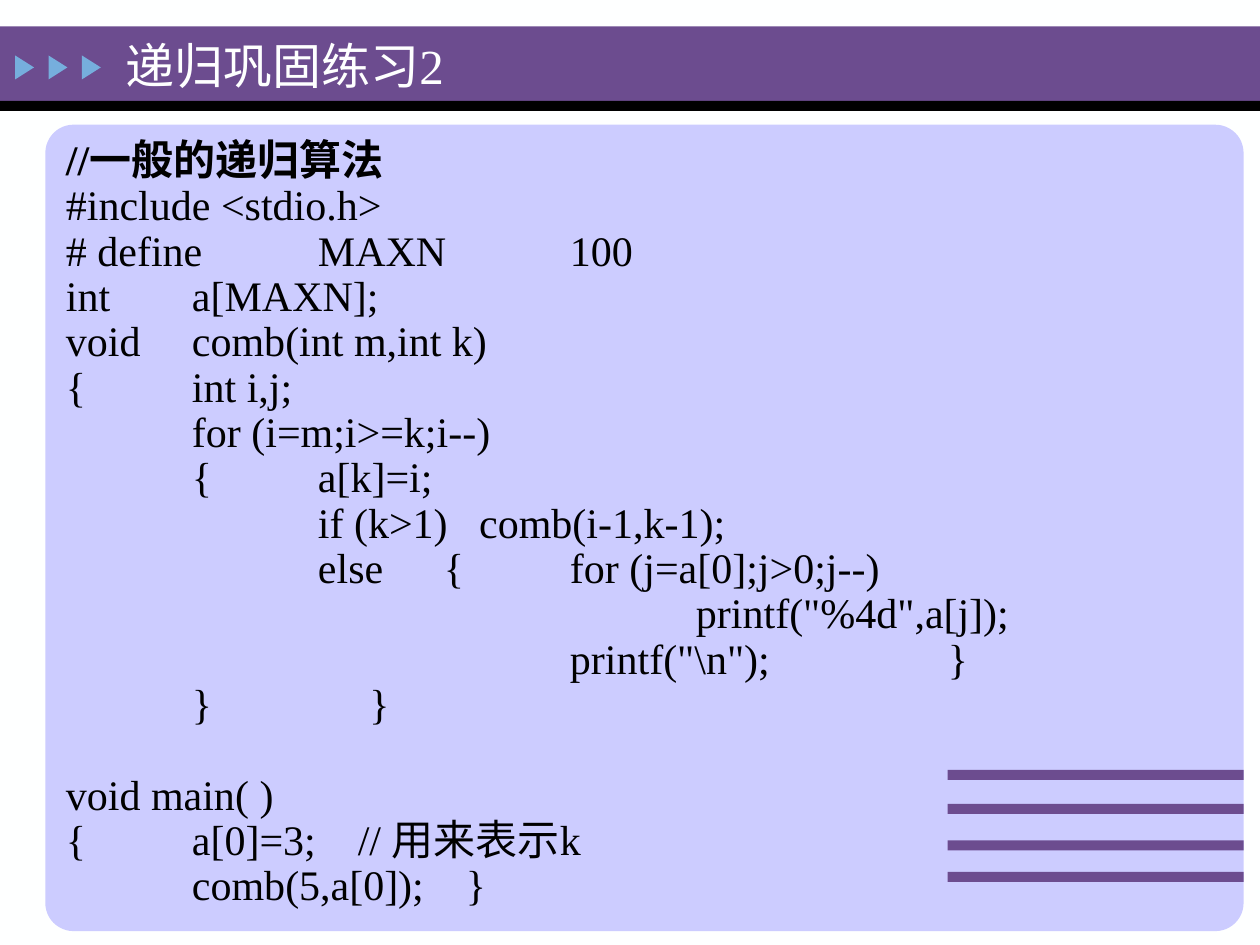
from lxml import etree
from pptx import Presentation
from pptx.dml.color import RGBColor
from pptx.enum.shapes import MSO_SHAPE
from pptx.enum.text import MSO_ANCHOR, MSO_AUTO_SIZE, PP_ALIGN
from pptx.oxml.ns import qn
from pptx.util import Inches, Pt

RECT = MSO_SHAPE.RECTANGLE
ROUND_RECT = MSO_SHAPE.ROUNDED_RECTANGLE
TRIANGLE = MSO_SHAPE.ISOSCELES_TRIANGLE
TOP, MIDDLE = MSO_ANCHOR.TOP, MSO_ANCHOR.MIDDLE
GROW = MSO_AUTO_SIZE.SHAPE_TO_FIT_TEXT
LEFT = PP_ALIGN.LEFT

FONT = "Times New Roman"
PURPLE, BLUE, LAVENDER = "6C4C8F", "76AEDD", "CCCCFF"
BLACK, WHITE = "000000", "FEFFFF"

CODE_LINES = [
    "//一般的递归算法",
    "#include <stdio.h>",
    "# define\tMAXN\t100",
    "int\ta[MAXN];",
    "void\tcomb(int m,int k)",
    "{\tint i,j;",
    "\tfor (i=m;i>=k;i--)",
    "\t{\ta[k]=i;",
    "\t\tif (k>1)   comb(i-1,k-1);",
    "\t\telse  \t{\tfor (j=a[0];j>0;j--)",
    "\t\t\t\t    \tprintf(\"%4d\",a[j]);",
    "\t\t\t\tprintf(\"\\n\");\t\t}",
    "\t}               }",
    "",
    "void main( )",
    "{\ta[0]=3;    // 用来表示k",
    "\tcomb(5,a[0]);    }",
]


def color(hex_string):
    return RGBColor.from_string(hex_string)


def add_block(shapes, kind, left, top, width, height, fill):
    block = shapes.add_shape(kind, Inches(left), Inches(top), Inches(width), Inches(height))
    block.shadow.inherit = False
    block.fill.solid()
    block.fill.fore_color.rgb = color(fill)
    block.line.fill.background()
    return block


def style(font, size, hex_string, bold=False):
    font.name = FONT
    font.size = Pt(size)
    font.bold = bold
    font.color.rgb = color(hex_string)


def add_tab_stops(paragraph, count):
    # One left tab stop at every inch
    stops = etree.SubElement(paragraph._p.get_or_add_pPr(), qn("a:tabLst"))
    for inch in range(1, count + 1):
        etree.SubElement(stops, qn("a:tab"), pos=str(Inches(inch)), algn="l")


def add_header(slide, left, top, width, height):
    # Purple band with a black rule below
    add_block(slide.shapes, RECT, left, top, width, height, PURPLE)
    add_block(slide.shapes, RECT, left, top + height, width, 0.08, BLACK)

    # Three arrows pointing right
    arrows = slide.shapes.add_group_shape()
    for i in range(3):
        arrow = add_block(arrows.shapes, TRIANGLE, left + 0.1 + i * 0.265, top + 0.25,
                          0.19, 0.15, BLUE)
        arrow.rotation = 90


def add_title(slide, left, top, width, height):
    title = slide.shapes.add_textbox(Inches(left), Inches(top), Inches(width), Inches(height))
    frame = title.text_frame
    frame.word_wrap = True
    frame.vertical_anchor = MIDDLE
    heading = frame.paragraphs[0]
    heading.text = "递归巩固练习2"
    properties = heading._p.get_or_add_pPr()
    properties.set("marL", str(Inches(0.38)))
    properties.set("indent", str(-Inches(0.38)))
    style(heading.runs[0].font, 28, WHITE)


def add_code_panel(slide, left, top, width, height):
    panel = add_block(slide.shapes, ROUND_RECT, left, top, width, height, LAVENDER)
    panel.adjustments[0] = 0.035
    frame = panel.text_frame
    frame.word_wrap = True
    frame.auto_size = GROW
    frame.vertical_anchor = TOP
    frame.text = "\n".join(CODE_LINES)
    for number, line in enumerate(frame.paragraphs):
        line.alignment = LEFT
        line.line_spacing = 0.9
        add_tab_stops(line, 7)
        style(line.font, 24, BLACK)
        for run in line.runs:
            style(run.font, 24, BLACK, bold=number == 0)


def add_stripes(slide, left, width, tops):
    for top in tops:
        add_block(slide.shapes, RECT, left, top, width, 0.08, PURPLE)


def main():
    prs = Presentation()
    prs.slide_width, prs.slide_height = Inches(10), Inches(7.5)
    slide = prs.slides.add_slide(prs.slide_layouts[6])
    slide.background.fill.solid()
    slide.background.fill.fore_color.rgb = color(WHITE)

    add_header(slide, 0, 0.21, 10, 0.59)
    add_code_panel(slide, 0.36, 0.99, 9.51, 6.4)
    add_title(slide, 0.9, 0.23, 4.45, 0.57)
    add_stripes(slide, 7.52, 2.35, (6.11, 6.38, 6.67, 6.92))
    prs.save("out.pptx")


if __name__ == "__main__":
    main()
